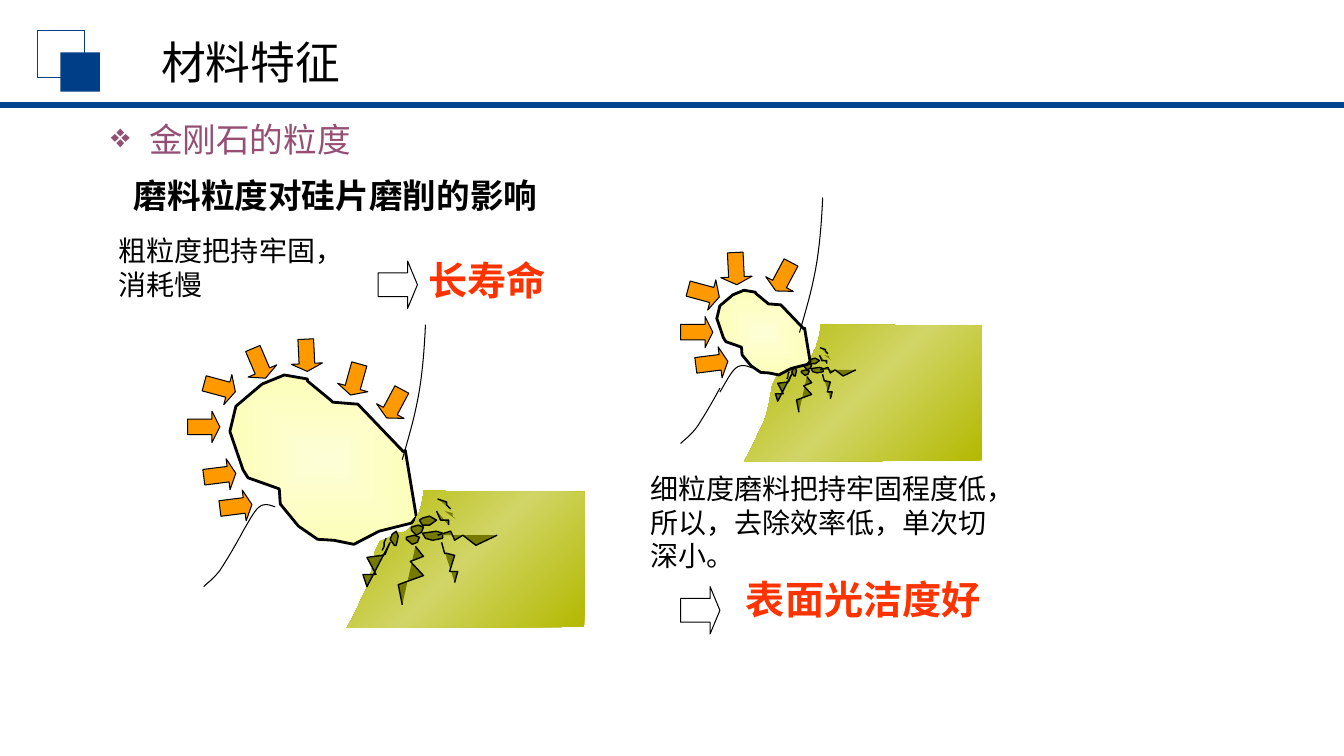
from dataclasses import dataclass

from lxml.etree import SubElement
from pptx import Presentation
from pptx.dml.color import RGBColor
from pptx.enum.lang import MSO_LANGUAGE_ID
from pptx.enum.shapes import MSO_CONNECTOR, MSO_SHAPE
from pptx.oxml import parse_xml
from pptx.oxml.ns import nsdecls, qn
from pptx.util import Inches, Pt

Point = tuple[float, float]


@dataclass(frozen=True)
class Placement:
    scale_x: float = 1
    scale_y: float = 1
    shift_x: float = 0
    shift_y: float = 0

    def apply(self, point: Point) -> Point:
        return point[0] * self.scale_x + self.shift_x, point[1] * self.scale_y + self.shift_y


@dataclass(frozen=True)
class Crack:
    points: list[Point]
    outlined: bool = True


@dataclass(frozen=True)
class Force:
    left: float
    top: float
    rotation: float


@dataclass(frozen=True)
class Grinding:
    diamond: Placement
    workpiece: Placement
    cracks: Placement
    curves: list[Placement]
    forces: list[Force]
    diamond_in_front: bool


@dataclass(frozen=True)
class Label:
    text: str
    box: tuple[float, float, float, float]
    font: dict
    color: str = "000000"
    bullet: str = ""


DIAMOND = [(4.08, 5.19), (4.13, 5.13), (4.02, 4.47), (4, 4.48), (3.55, 4.01), (3.3, 3.99), (3.28, 3.97),
           (3.05, 3.78), (3.05, 3.76), (2.82, 3.72), (2.6, 3.81), (2.34, 4.03), (2.28, 4.28), (2.41, 4.66),
           (2.46, 4.74), (2.77, 4.85), (2.78, 5), (2.96, 5.22), (3.15, 5.35), (3.31, 5.36), (3.51, 5.4),
           (3.76, 5.27), (4.08, 5.19)]
WORKPIECE = [(3.44, 6.23), (3.52, 6.08), (3.58, 5.95), (3.63, 5.85), (3.66, 5.77), (3.69, 5.64), (3.72, 5.47),
             (3.77, 5.37), (3.84, 5.34), (3.91, 5.31), (3.96, 5.28), (4.01, 5.28), (4.04, 5.26), (4.08, 5.22),
             (4.1, 5.2), (4.12, 5.17), (4.13, 5.13), (4.15, 5.11), (4.16, 5.07), (4.18, 5.01), (4.2, 4.9),
             (4.2, 4.87), (5.8, 4.88), (5.8, 6.22), (3.44, 6.23)]
CRACKS = [
    Crack([(4.12, 5.42), (4.2, 5.52), (4.07, 5.57), (4.2, 5.71), (3.95, 5.8), (3.99, 6)]),
    Crack([(4.41, 5.07), (4.49, 5.09), (4.49, 5.12), (4.52, 5.15), (4.41, 5.07)], False),
    Crack([(4.34, 4.95), (4.43, 4.98), (4.43, 5.01), (4.47, 5.05)]),
    Crack([(4.33, 5.07), (4.36, 5.16), (4.44, 5.16), (4.44, 5.2), (4.33, 5.07)], False),
    Crack([(4.33, 5.07), (4.37, 5.16), (4.45, 5.16), (4.45, 5.21)]),
    Crack([(4.19, 5.29), (4.22, 5.34), (4.29, 5.36), (4.39, 5.34), (4.39, 5.29), (4.33, 5.27), (4.19, 5.29)]),
    Crack([(4.16, 5.16), (4.19, 5.21), (4.26, 5.21), (4.33, 5.16), (4.26, 5.12), (4.19, 5.14), (4.16, 5.16)]),
    Crack([(4.08, 5.23), (4.08, 5.26), (4.13, 5.31), (4.18, 5.28), (4.2, 5.23), (4.15, 5.21), (4.08, 5.23)]),
    Crack([(4.03, 5.33), (4.03, 5.35), (4.09, 5.4), (4.14, 5.38), (4.16, 5.33), (4.11, 5.31), (4.03, 5.33)]),
    Crack([(3.93, 5.41), (3.91, 5.41), (3.87, 5.35), (3.89, 5.3), (3.93, 5.27), (3.95, 5.32), (3.93, 5.41)]),
    Crack([(4.34, 5.31), (4.47, 5.27), (4.51, 5.36), (4.59, 5.31), (4.72, 5.41), (4.93, 5.31)]),
    Crack([(3.87, 5.38), (3.82, 5.5), (3.79, 5.51), (3.64, 5.53), (3.73, 5.7), (3.6, 5.7), (3.64, 5.82),
           (3.87, 5.38)]),
    Crack([(4.38, 5.38), (4.41, 5.49), (4.43, 5.49), (4.51, 5.51), (4.46, 5.67), (4.54, 5.67), (4.51, 5.78)]),
    Crack([(3.83, 5.34), (3.81, 5.38), (3.81, 5.42), (3.79, 5.46)]),
]
CURVES = [
    [(3.99, 4.56), (4.05, 4.35), (4.11, 4.15), (4.15, 3.93), (4.19, 3.71), (4.21, 3.46), (4.22, 3.22)],
    [(2.73, 5.03), (2.68, 5.01), (2.62, 4.99), (2.57, 5.03), (2.52, 5.07), (2.47, 5.17), (2.41, 5.27)],
    [(2.41, 5.27), (2.33, 5.42), (2.24, 5.57), (2.18, 5.66), (2.11, 5.75), (2.06, 5.78), (2.02, 5.82)],
]
GRINDINGS = [
    Grinding(Placement(), Placement(), Placement(), [Placement()] * 3,
             [Force(2.02, 4.56, 352.8), Force(1.86, 4.08, 0), Force(2.02, 3.69, 15.1), Force(2.41, 3.45, 66.9),
              Force(2.88, 3.37, 87.2), Force(3.36, 3.61, 105.7), Force(3.75, 3.85, 118.1),
              Force(2.18, 4.87, 352.8)], False),
    Grinding(Placement(0.5, 0.5, 5.97, 1.02), Placement(1, 1, 3.94, -1.65), Placement(0.6, 0.61, 5.53, 0.43),
             [Placement(1, 1, 3.94, -1.26), Placement(1, 1, 4.73, -1.38), Placement(1, 1, 4.73, -1.42)],
             [Force(7.61, 2.59, 118.1), Force(7.14, 2.51, 87.2), Force(6.82, 2.75, 15.1),
              Force(6.9, 3.45, 352.8), Force(6.75, 3.14, 0)], True),
]
BODY = {"name": "Times New Roman", "size": Pt(20)}
RESULT = {"name": "Times New Roman", "size": Pt(28), "bold": True}
LABELS = [
    Label("粗粒度把持牢固，消耗慢", (1.08, 2.27, 2.68, 0.77), BODY),
    Label("细粒度磨料把持牢固程度低，所以，去除效率低，单次切深小。", (6.35, 4.63, 3.78, 1.1), BODY),
    Label("长寿命", (4.15, 2.49, 1.5, 0.57), RESULT, "FF3300"),
    Label("表面光洁度好", (7.3, 5.66, 2.84, 0.57), RESULT, "FF3300"),
    Label("磨料粒度对硅片磨削的影响", (1.23, 1.69, 8.59, 0.5),
          {"name": "Times New Roman", "size": Pt(24), "bold": True}),
    Label("金刚石的粒度", (1, 1.18, 5.05, 0.54), {"name": "Noto Sans CJK SC", "size": Pt(24)}, "954F72", "❖"),
    Label("材料特征", (1.5, 0.3, 5.79, 0.64), {"name": "Calibri", "size": Pt(32)}),
]
DIAMOND_GRADIENT = ([(0, "FDFED5"), (100, "FCFEB9")],
                    '<a:path path="rect"><a:fillToRect l="50000" t="50000" r="50000" b="50000"/></a:path>')
WORKPIECE_GRADIENT = ([(0, "B3B900"), (50, "D1D566"), (100, "B3B900")], '<a:lin ang="2700000" scaled="0"/>')


def rgb(value: str) -> RGBColor:
    return RGBColor.from_string(value)


def paint(shape, fill: str = "", line: str = "", width: float = 0.75) -> None:
    shape.shadow.inherit = False
    if fill:
        shape.fill.solid()
        shape.fill.fore_color.rgb = rgb(fill)
    else:
        shape.fill.background()
    if line:
        shape.line.color.rgb = rgb(line)
        shape.line.width = Pt(width)
    else:
        shape.line.fill.background()


def paint_gradient(shape, stops: list[tuple[int, str]], direction: str) -> None:
    stop_list = "".join(f'<a:gs pos="{position * 1000}"><a:srgbClr val="{color}"/></a:gs>'
                        for position, color in stops)
    gradient = parse_xml(f'<a:gradFill {nsdecls("a")} rotWithShape="1"><a:gsLst>{stop_list}</a:gsLst>'
                         f'{direction}</a:gradFill>')
    properties = shape.element.spPr
    properties.replace(properties.find(qn("a:noFill")), gradient)


def draw_outline(slide, points: list[Point], placement: Placement):
    start, *others = [tuple(Inches(value) for value in placement.apply(point)) for point in points]
    builder = slide.shapes.build_freeform(*start)
    builder.add_line_segments(others, close=points[0] == points[-1])
    return builder.convert_to_shape()


def smooth_points(controls: list[Point], steps: int = 8) -> list[Point]:
    points = [controls[0]]
    for first in range(0, len(controls) - 1, 3):
        for step in range(1, steps + 1):
            t = step / steps
            weights = ((1 - t) ** 3, 3 * t * (1 - t) ** 2, 3 * t * t * (1 - t), t ** 3)
            segment = controls[first:first + 4]
            points.append(tuple(sum(weight * point[axis] for weight, point in zip(weights, segment))
                                for axis in (0, 1)))
    return points


def draw_preset(slide, kind: MSO_SHAPE, box: tuple[float, float, float, float], **style):
    shape = slide.shapes.add_shape(kind, *map(Inches, box))
    paint(shape, **style)
    return shape


def draw_arrow(slide, box: tuple[float, float, float, float], fill: str, rotation: float = 0) -> None:
    arrow = draw_preset(slide, MSO_SHAPE.RIGHT_ARROW, box, fill=fill, line="000000")
    arrow.adjustments[1] = 0.25
    arrow.rotation = rotation


def draw_diamond(slide, placement: Placement) -> None:
    diamond = draw_outline(slide, DIAMOND, placement)
    paint(diamond, line="000000", width=2)
    paint_gradient(diamond, *DIAMOND_GRADIENT)


def draw_grinding(slide, grinding: Grinding) -> None:
    if not grinding.diamond_in_front:
        draw_diamond(slide, grinding.diamond)
    workpiece = draw_outline(slide, WORKPIECE, grinding.workpiece)
    paint(workpiece)
    paint_gradient(workpiece, *WORKPIECE_GRADIENT)
    for crack in CRACKS:
        paint(draw_outline(slide, crack.points, grinding.cracks), "767900", "000000" if crack.outlined else "", 1)
    if grinding.diamond_in_front:
        draw_diamond(slide, grinding.diamond)
    for curve, placement in zip(CURVES, grinding.curves):
        paint(draw_outline(slide, smooth_points(curve), placement), line="000000")
    for force in grinding.forces:
        draw_arrow(slide, (force.left, force.top, 0.32, 0.31), "FF9900", force.rotation)


def draw_label(slide, label: Label) -> None:
    frame = slide.shapes.add_textbox(*map(Inches, label.box)).text_frame
    frame.word_wrap = True
    paragraph = frame.paragraphs[0]
    if label.bullet:
        paragraph.line_spacing = 0.9
        properties = paragraph._p.get_or_add_pPr()
        properties.set("marL", str(Inches(0.38)))
        properties.set("indent", str(Inches(-0.38)))
        SubElement(SubElement(properties, qn("a:buClr")), qn("a:srgbClr")).set("val", label.color)
        SubElement(properties, qn("a:buChar")).set("char", label.bullet)
    run = paragraph.add_run()
    run.text = label.text
    for name, value in label.font.items():
        setattr(run.font, name, value)
    run.font.language_id = MSO_LANGUAGE_ID.SIMPLIFIED_CHINESE
    run.font.color.rgb = rgb(label.color)


def main() -> None:
    presentation = Presentation()
    presentation.slide_width, presentation.slide_height = Inches(13.33), Inches(7.5)
    slide = presentation.slides.add_slide(presentation.slide_layouts[6])
    rule = slide.shapes.add_connector(MSO_CONNECTOR.STRAIGHT, 0, Inches(1.04), Inches(13.33), Inches(1.04))
    rule.line.color.rgb = rgb("01458E")
    rule.line.width = Pt(4.5)
    SubElement(rule.element.spPr, qn("a:effectLst"))
    draw_preset(slide, MSO_SHAPE.RECTANGLE, (0.37, 0.3, 0.47, 0.47), line="003E87", width=1)
    draw_preset(slide, MSO_SHAPE.RECTANGLE, (0.6, 0.52, 0.39, 0.39), fill="003E87")
    for grinding in GRINDINGS:
        draw_grinding(slide, grinding)
    for left, top in ((3.75, 2.59), (6.75, 5.82)):
        draw_arrow(slide, (left, top, 0.39, 0.47), "FFFFFF")
    for label in LABELS:
        draw_label(slide, label)
    presentation.save("out.pptx")


if __name__ == "__main__":
    main()
